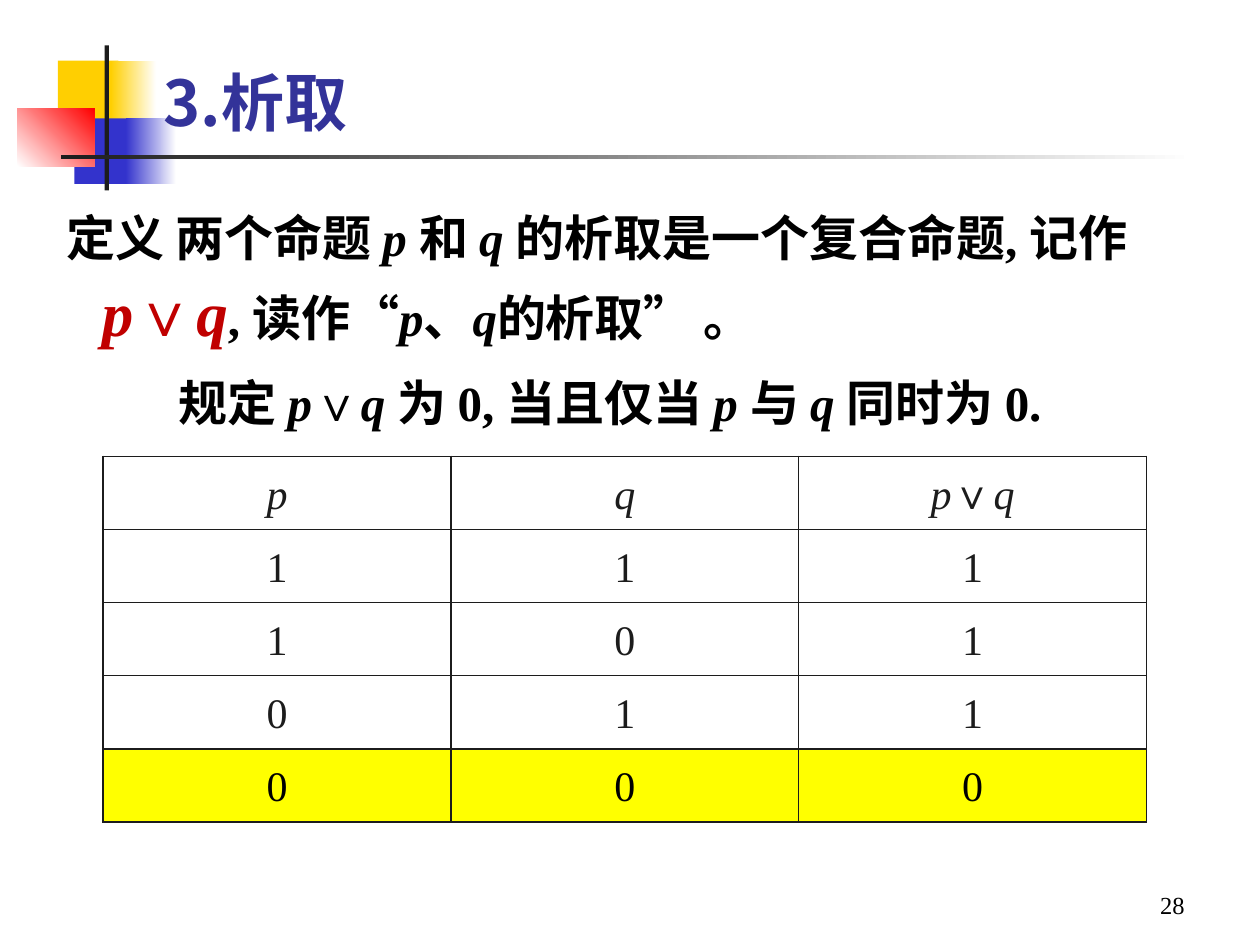
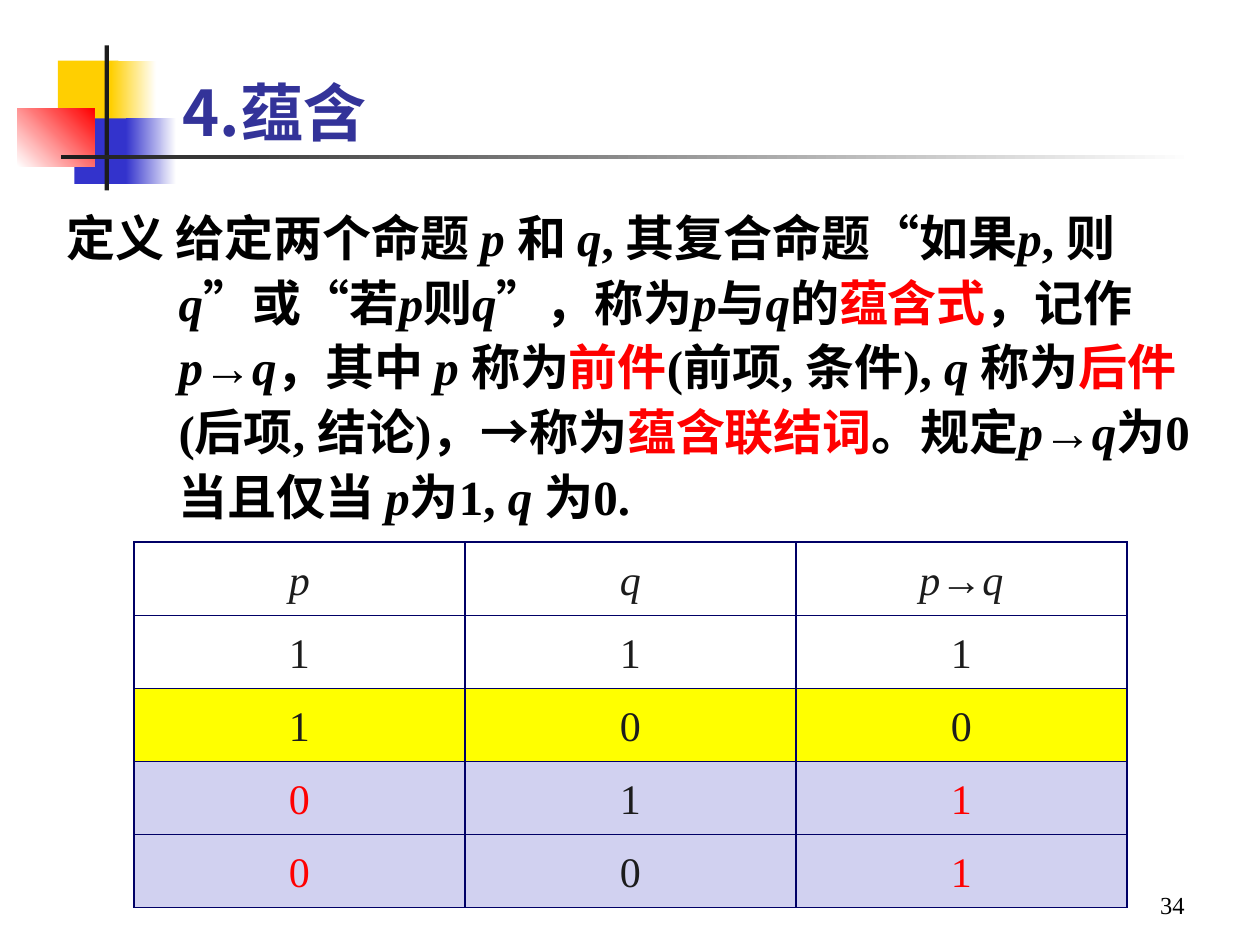
from dataclasses import dataclass
from itertools import groupby

from lxml import etree
from pptx import Presentation
from pptx.dml.color import RGBColor
from pptx.enum.shapes import MSO_SHAPE as Preset
from pptx.enum.text import MSO_ANCHOR as Anchor, PP_ALIGN as Align
from pptx.oxml.ns import qn
from pptx.util import Pt

SERIF, SANS, QUOTES = "Times New Roman", "Noto Sans CJK SC", "Arial"
BLACK, INK, WHITE = "000000", "1C1C1C", "FFFFFF"
GOLD, BLUE, RED = "FFCF01", "3333CC", "FF0000"
TITLE_BLUE, DEEP_RED, NAVY = "333399", "C00000", "000066"
YELLOW, LAVENDER = "FFFF00", "D1D1F0"


@dataclass(frozen=True)
class Box:
    left: float
    top: float
    width: float
    height: float

    def emu(self) -> list:
        return [Pt(v) for v in (self.left, self.top, self.width, self.height)]


@dataclass(frozen=True)
class Block:
    """A master rectangle; a second colour makes a gradient."""
    box: Box
    color: str
    fade_to: str = ""
    angle: float = 0


@dataclass(frozen=True)
class Clause:
    """A body paragraph; {braces} mark highlighted words."""
    text: str
    margin: float
    indent: float


@dataclass(frozen=True)
class TruthRow:
    values: tuple
    fill: str = ""
    color: str = INK


@dataclass(frozen=True)
class Lesson:
    title: str
    title_box: Box
    clauses: tuple
    body_box: Box
    highlight: dict
    rows: tuple
    table_box: Box
    border: str
    number: str


ORNAMENT = (
    Block(Box(33.1, 34.6, 34.6, 37.4), GOLD),
    Block(Box(63.4, 34.6, 25.9, 37.4), GOLD, WHITE),
    Block(Box(42.5, 67.7, 33.1, 37.4), BLUE),
    Block(Box(72, 67.7, 28.8, 37.4), BLUE, WHITE),
    Block(Box(10, 61.9, 44, 33.1), WHITE, RED, 45),
    Block(Box(59.8, 26, 2.5, 82.8), INK),
    Block(Box(34.6, 88.5, 648, 2.3), INK, WHITE),
)
NUMBER_BOX = Box(516.2, 491.8, 167.8, 37.4)

LESSONS = (
    Lesson(
        title="3.析取",
        title_box=Box(86.4, -7.2, 620, 90),
        clauses=(
            Clause("定义 两个命题 p 和 q 的析取是一个复合命题, 记作 \t{p∨q}, "
                   "读作“p、q的析取” 。", 20.2, -20.2),
            Clause("规定 p∨q 为 0, 当且仅当 p 与 q 同时为 0.", 20.2, 43.8),
        ),
        body_box=Box(31, 111.6, 652.3, 136),
        highlight={"color": DEEP_RED, "size": Pt(36)},
        rows=(
            TruthRow(("p", "q", "p∨q")),
            TruthRow(("1", "1", "1")),
            TruthRow(("1", "0", "1")),
            TruthRow(("0", "1", "1")),
            TruthRow(("0", "0", "0"), YELLOW, BLACK),
        ),
        table_box=Box(59, 260.8, 596.2, 208.8),
        border=INK,
        number="28",
    ),
    Lesson(
        title="4.蕴含",
        title_box=Box(97.2, -1.4, 620, 90),
        clauses=(
            Clause("定义 给定两个命题 p 和 q, 其复合命题“如果p, 则q”或“若p则q”"
                   "，称为p与q的{蕴含式}，记作p→q，其中 p 称为{前件}(前项, 条件), "
                   "q 称为{后件}(后项, 结论)，→称为{蕴含联结词}。规定p→q为0 "
                   "当且仅当 p为1, q 为0.", 64, -64),
        ),
        body_box=Box(31, 111.6, 663.1, 158.4),
        highlight={"color": RED},
        rows=(
            TruthRow(("p", "q", "p→q")),
            TruthRow(("1", "1", "1")),
            TruthRow(("1", "0", "0"), YELLOW),
            TruthRow(("{0}", "1", "{1}"), LAVENDER),
            TruthRow(("{0}", "0", "{1}"), LAVENDER),
        ),
        table_box=Box(76.5, 309.8, 567.4, 208.8),
        border=NAVY,
        number="34",
    ),
)


def rgb(color: str) -> RGBColor:
    return RGBColor.from_string(color)


def add_run(paragraph, text: str, color: str, **values):
    run = paragraph.add_run()
    run.text = text
    run.font.color.rgb = rgb(color)
    for name, value in values.items():
        setattr(run.font, name, value)
    # East Asian characters use the sans face
    latin = run.font._element.find(qn("a:latin"))
    east_asian = etree.Element(qn("a:ea"), typeface=SANS)
    latin.addnext(east_asian)
    return run


def char_kind(char: str) -> str:
    if char in "pq":
        return "variable"
    return "quote" if char in "“”" else "plain"


def add_logic_text(paragraph, text: str, base: dict, highlight: dict) -> None:
    """Set variables in italics, quotes in their own face, braces highlighted."""
    for index, part in enumerate(text.replace("}", "{").split("{")):
        values = {**base, **highlight} if index % 2 else base
        for kind, chars in groupby(part, char_kind):
            face = QUOTES if kind == "quote" else SERIF
            add_run(paragraph, "".join(chars), **values,
                    name=face, italic=kind == "variable")


def add_frame(slide, box: Box, anchor=Anchor.TOP):
    frame = slide.shapes.add_textbox(*box.emu()).text_frame
    frame.word_wrap = True
    frame.vertical_anchor = anchor
    return frame


def add_block(slide, block: Block) -> None:
    shape = slide.shapes.add_shape(Preset.RECTANGLE, *block.box.emu())
    shape.shadow.inherit = False
    shape.line.fill.background()
    if block.fade_to:
        shape.fill.gradient()
        shape.fill.gradient_angle = block.angle
        for stop, color in zip(shape.fill.gradient_stops, (block.color, block.fade_to)):
            stop.color.rgb = rgb(color)
    else:
        shape.fill.solid()
        shape.fill.fore_color.rgb = rgb(block.color)


def add_title(slide, lesson: Lesson) -> None:
    paragraph = add_frame(slide, lesson.title_box, Anchor.BOTTOM).paragraphs[0]
    run = add_run(paragraph, lesson.title, TITLE_BLUE, size=Pt(36), bold=True, name=SANS)
    # Text shadow, placed right after the fill
    effects = etree.Element(qn("a:effectLst"))
    shadow = etree.SubElement(effects, qn("a:outerShdw"), dist=str(Pt(1.5)), dir="2700000")
    etree.SubElement(shadow, qn("a:srgbClr"), val=BLACK)
    run.font._element.find(qn("a:solidFill")).addnext(effects)


def add_body(slide, lesson: Lesson) -> None:
    frame = add_frame(slide, lesson.body_box)
    base = {"color": BLACK, "size": Pt(28), "bold": True}
    for index, clause in enumerate(lesson.clauses):
        paragraph = frame.add_paragraph() if index else frame.paragraphs[0]
        paragraph.line_spacing = 1.1
        paragraph.space_before = Pt(10)
        properties = paragraph._p.get_or_add_pPr()
        properties.set("marL", str(Pt(clause.margin)))
        properties.set("indent", str(Pt(clause.indent)))
        add_logic_text(paragraph, clause.text, base, lesson.highlight)


def add_borders(cell, color: str) -> None:
    properties = cell._tc.get_or_add_tcPr()
    for side in ("a:lnL", "a:lnR", "a:lnT", "a:lnB"):
        line = etree.SubElement(properties, qn(side), w=str(Pt(1)))
        fill = etree.SubElement(line, qn("a:solidFill"))
        etree.SubElement(fill, qn("a:srgbClr"), val=color)


def add_truth_table(slide, lesson: Lesson) -> None:
    rows = lesson.rows
    table = slide.shapes.add_table(
        len(rows), len(rows[0].values), *lesson.table_box.emu()).table
    table.first_row = table.horz_banding = False
    for row_index, row in enumerate(rows):
        for column, value in enumerate(row.values):
            cell = table.cell(row_index, column)
            add_borders(cell, lesson.border)
            if row.fill:
                cell.fill.solid()
                cell.fill.fore_color.rgb = rgb(row.fill)
            else:
                cell.fill.background()
            paragraph = cell.text_frame.paragraphs[0]
            paragraph.alignment = Align.CENTER
            paragraph.line_spacing = 1.2
            paragraph.space_before = Pt(5.76)
            add_logic_text(paragraph, value, {"color": row.color, "size": Pt(24)},
                           lesson.highlight)


def add_number(slide, number: str) -> None:
    paragraph = add_frame(slide, NUMBER_BOX, Anchor.BOTTOM).paragraphs[0]
    paragraph.alignment = Align.RIGHT
    add_run(paragraph, number, BLACK, size=Pt(14), name=SERIF)


def main() -> None:
    prs = Presentation()
    prs.slide_width, prs.slide_height = Pt(720), Pt(540)
    for lesson in LESSONS:
        slide = prs.slides.add_slide(prs.slide_layouts[6])
        for block in ORNAMENT:
            add_block(slide, block)
        add_title(slide, lesson)
        add_body(slide, lesson)
        add_truth_table(slide, lesson)
        add_number(slide, lesson.number)
    prs.save("out.pptx")


if __name__ == "__main__":
    main()
